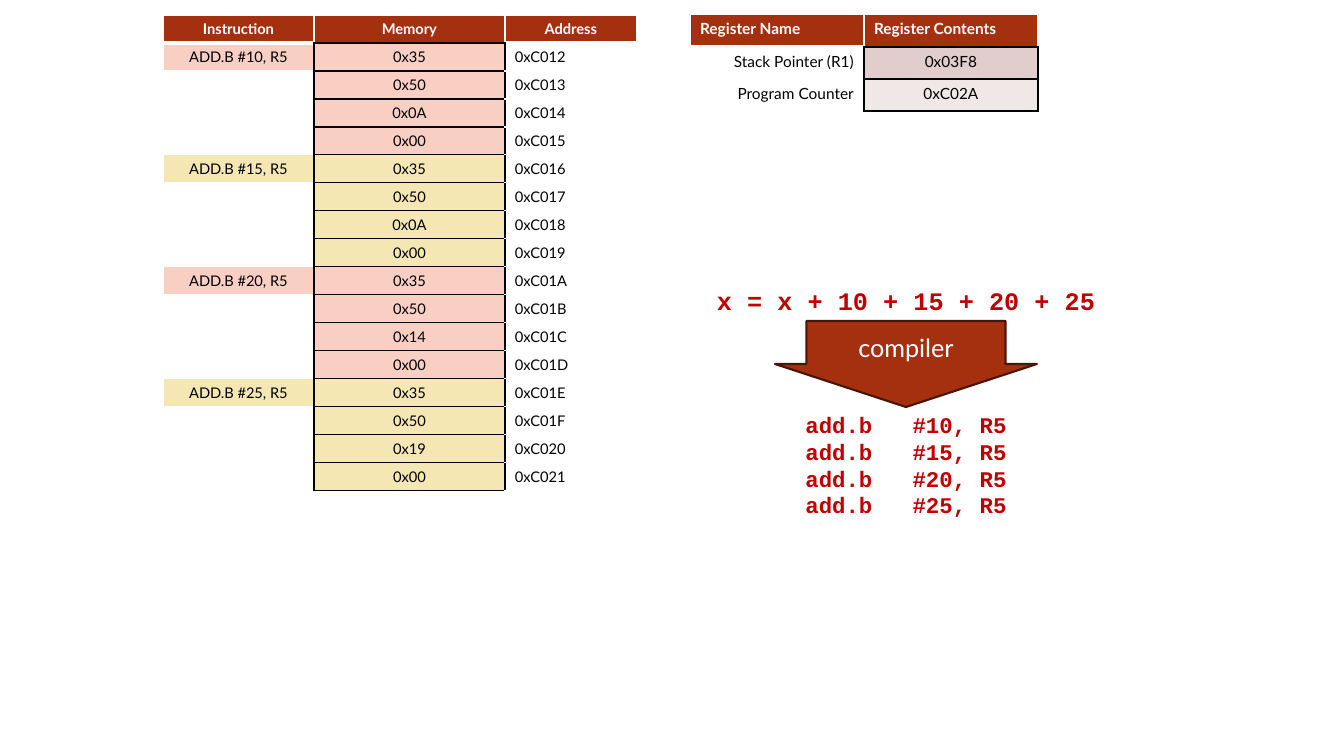
from dataclasses import dataclass

from lxml.etree import SubElement
from pptx import Presentation
from pptx.dml.color import RGBColor
from pptx.enum.shapes import MSO_SHAPE
from pptx.enum.text import MSO_ANCHOR, MSO_AUTO_SIZE, PP_ALIGN
from pptx.oxml.ns import qn
from pptx.slide import Slide
from pptx.table import _Cell as TableCell
from pptx.text.text import _Paragraph as Paragraph
from pptx.util import Emu, Pt

SLIDE_W, SLIDE_H = 1344, 756
EMU_PER_PX = 12192000 / SLIDE_W

WHITE = RGBColor(0xFF, 0xFF, 0xFF)
BLACK = RGBColor(0x00, 0x00, 0x00)
RUST = RGBColor(0xA5, 0x30, 0x0F)
DARK_RUST = RGBColor(0x48, 0x15, 0x07)
CODE_RED = RGBColor(0xC0, 0x00, 0x00)
PINK = RGBColor(0xF9, 0xCF, 0xC3)
SAND = RGBColor(0xF5, 0xE7, 0xB4)
MAUVE = RGBColor(0xE1, 0xCD, 0xCC)
PALE_MAUVE = RGBColor(0xF0, 0xE8, 0xE7)

LEFT, CENTER, RIGHT = PP_ALIGN.LEFT, PP_ALIGN.CENTER, PP_ALIGN.RIGHT
BODY_FONT, CODE_FONT = "Lato", "Courier New"
FIRST_ADDRESS = 0xC012


@dataclass(frozen=True)
class Edge:
    color: RGBColor = WHITE
    width: int = 1


THIN, THICK, INK = Edge(), Edge(WHITE, 3), Edge(BLACK)


@dataclass(frozen=True)
class Cell:
    text: str
    fill: RGBColor = WHITE
    align: PP_ALIGN = LEFT
    color: RGBColor = BLACK
    bold: bool = False
    left: Edge = THIN
    right: Edge = THIN
    top: Edge = THIN
    bottom: Edge = THIN


@dataclass(frozen=True)
class Grid:
    left: int
    top: int
    cols: list[int]
    rows: list[int]
    size: float
    cells: list[list[Cell]]


@dataclass(frozen=True)
class Instruction:
    text: str
    memory: list[str]
    fill: RGBColor


@dataclass(frozen=True)
class CodeBox:
    left: int
    top: int
    width: int
    height: int
    size: int
    align: PP_ALIGN
    lines: list[str]


INSTRUCTIONS = [
    Instruction("ADD.B #10, R5", ["0x35", "0x50", "0x0A", "0x00"], PINK),
    Instruction("ADD.B #15, R5", ["0x35", "0x50", "0x0A", "0x00"], SAND),
    Instruction("ADD.B #20, R5", ["0x35", "0x50", "0x14", "0x00"], PINK),
    Instruction("ADD.B #25, R5", ["0x35", "0x50", "0x19", "0x00"], SAND),
]

CODE_BOXES = [
    CodeBox(707, 280, 406, 40, 18, LEFT, ["x = x + 10 + 15 + 20 + 25"]),
    CodeBox(759, 406, 294, 119, 16, CENTER,
            [f"add.b   #{n}, R5" for n in (10, 15, 20, 25)]),
]


def px(n: int) -> Emu:
    return Emu(round(n * EMU_PER_PX))


def header(text: str, align: PP_ALIGN, bottom: Edge = THICK) -> Cell:
    return Cell(text, RUST, align, WHITE, True, bottom=bottom)


def value(text: str, fill: RGBColor) -> Cell:
    """A centred cell boxed in black."""
    return Cell(text, fill, CENTER, left=INK, right=INK, top=INK, bottom=INK)


def memory_grid() -> Grid:
    cells = [[header("Instruction", CENTER), header("Memory", CENTER, INK),
              header("Address", CENTER)]]
    for ins in INSTRUCTIONS:
        for i, byte in enumerate(ins.memory):
            address = FIRST_ADDRESS + len(cells) - 1
            label = (ins.text, ins.fill) if i == 0 else ("", WHITE)
            top = THICK if len(cells) == 1 else THIN
            cells.append([
                Cell(*label, CENTER, right=INK, top=top),
                value(byte, ins.fill),
                Cell(f"0x{address:X}", left=INK, top=top),
            ])
    return Grid(163, 15, [151, 191, 132], [28] * len(cells), 10.5, cells)


def register_grid() -> Grid:
    cells = [
        [header("Register Name", LEFT), header("Register Contents", LEFT, INK)],
        [Cell("Stack Pointer (R1)", align=RIGHT, right=INK, top=THICK),
         value("0x03F8", MAUVE)],
        [Cell("Program Counter", align=RIGHT, right=INK),
         value("0xC02A", PALE_MAUVE)],
    ]
    return Grid(690, 14, [174, 174], [33, 32, 32], 11, cells)


def set_font(p: Paragraph, name: str, size: float, color: RGBColor,
             bold: bool = False) -> None:
    p.font.name, p.font.size, p.font.bold = name, Pt(size), bold
    p.font.color.rgb = color


def draw_borders(target: TableCell, cell: Cell) -> None:
    tc_pr = target._tc.get_or_add_tcPr()
    edges = {"L": cell.left, "R": cell.right, "T": cell.top, "B": cell.bottom}
    for side, edge in edges.items():
        ln = SubElement(tc_pr, qn(f"a:ln{side}"), w=str(Pt(edge.width)))
        fill = SubElement(ln, qn("a:solidFill"))
        SubElement(fill, qn("a:srgbClr"), val=str(edge.color))


def draw_cell(target: TableCell, cell: Cell, size: float) -> None:
    draw_borders(target, cell)
    target.fill.solid()
    target.fill.fore_color.rgb = cell.fill
    p = target.text_frame.paragraphs[0]
    p.alignment = cell.align
    set_font(p, BODY_FONT, size, cell.color, cell.bold)
    if cell.text:
        p.add_run().text = cell.text
    else:
        # The end mark sets the line height of an empty cell
        p._p.get_or_add_endParaRPr().set("sz", str(round(size * 100)))


def draw_grid(s: Slide, grid: Grid) -> None:
    table = s.shapes.add_table(
        len(grid.rows), len(grid.cols), px(grid.left), px(grid.top),
        px(sum(grid.cols)), px(sum(grid.rows))).table
    table.first_row = table.horz_banding = False
    for column, width in zip(table.columns, grid.cols):
        column.width = px(width)
    for row, height, cells in zip(table.rows, grid.rows, grid.cells):
        row.height = px(height)
        for target, cell in zip(row.cells, cells):
            draw_cell(target, cell, grid.size)


def draw_code(s: Slide, box: CodeBox) -> None:
    tf = s.shapes.add_textbox(px(box.left), px(box.top), px(box.width),
                              px(box.height)).text_frame
    tf.word_wrap = True
    tf.auto_size = MSO_AUTO_SIZE.SHAPE_TO_FIT_TEXT
    tf.text = "\n".join(box.lines)
    for p in tf.paragraphs:
        p.alignment = box.align
        set_font(p, CODE_FONT, box.size, CODE_RED, True)


def draw_compiler_arrow(s: Slide) -> None:
    sp = s.shapes.add_shape(MSO_SHAPE.DOWN_ARROW, px(775), px(321), px(262), px(86))
    sp.adjustments[0], sp.adjustments[1] = 0.76, 0.5
    sp.shadow.inherit = False
    sp.fill.solid()
    sp.fill.fore_color.rgb = RUST
    sp.line.color.rgb = DARK_RUST
    sp.line.width = Pt(1.5)
    tf = sp.text_frame
    tf.vertical_anchor = MSO_ANCHOR.MIDDLE
    p = tf.paragraphs[0]
    p.alignment = CENTER
    p.add_run().text = "compiler"
    set_font(p, BODY_FONT, 18, WHITE)


def main() -> None:
    prs = Presentation()
    prs.slide_width, prs.slide_height = px(SLIDE_W), px(SLIDE_H)
    s = prs.slides.add_slide(prs.slide_layouts[6])
    for grid in (memory_grid(), register_grid()):
        draw_grid(s, grid)
    for box in CODE_BOXES:
        draw_code(s, box)
    draw_compiler_arrow(s)
    prs.save("out.pptx")


if __name__ == "__main__":
    main()
